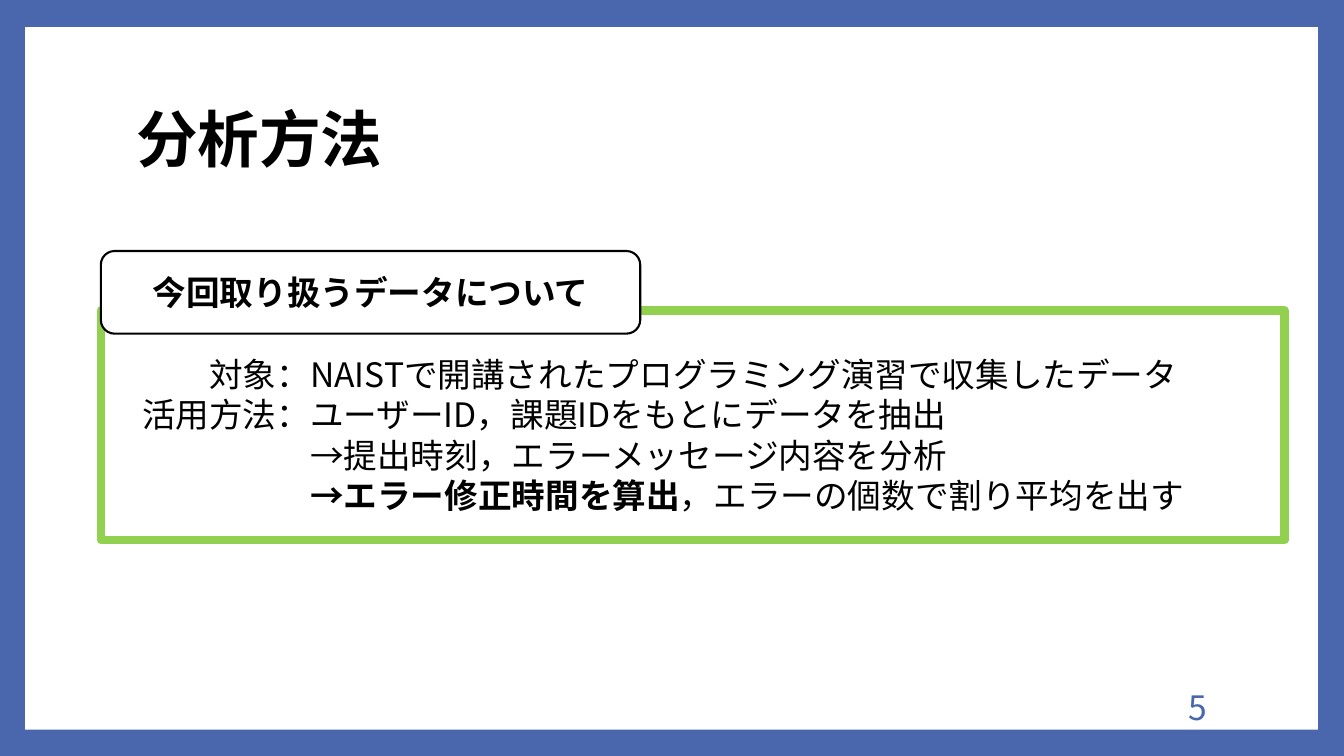
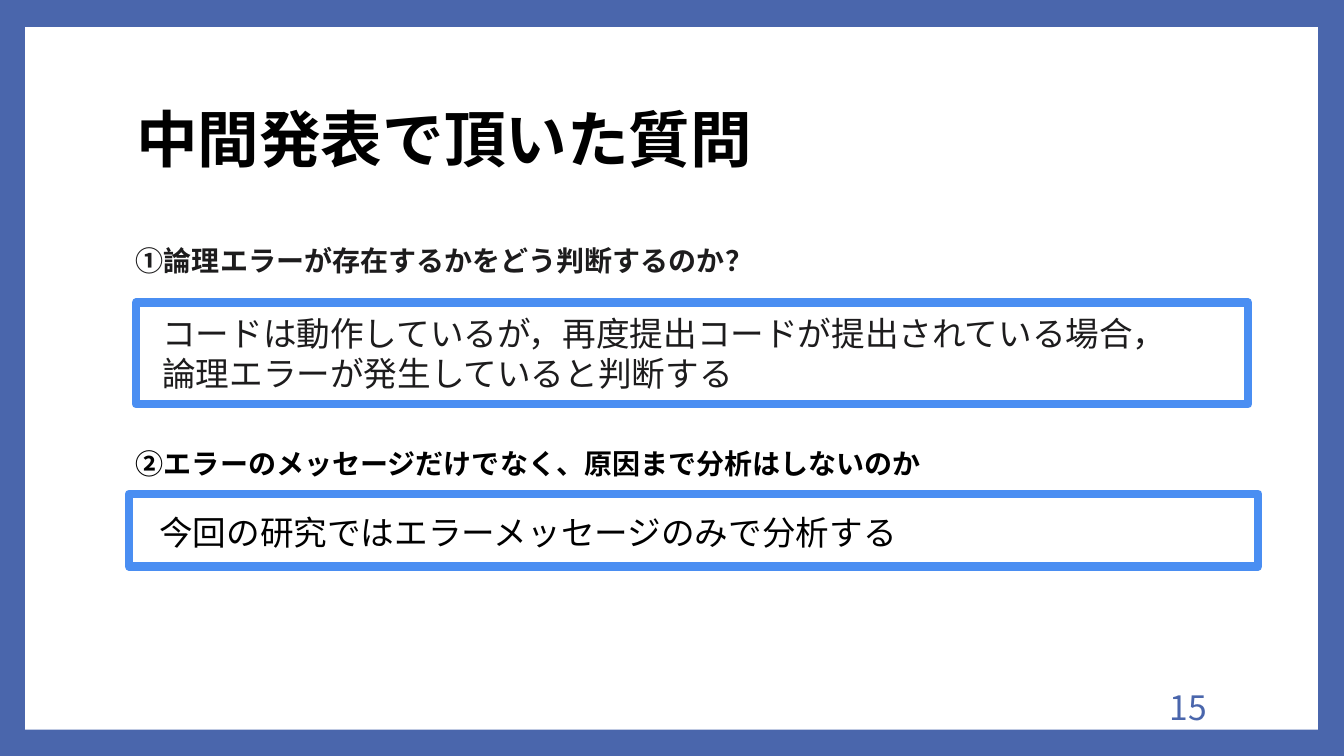
from pptx import Presentation
from pptx.dml.color import RGBColor
from pptx.enum.shapes import MSO_SHAPE as Shape
from pptx.enum.text import MSO_ANCHOR as Anchor, PP_ALIGN as Align
from pptx.util import Emu, Pt

PX = 9144  # 100 px to the inch
FONT = "Noto Sans CJK JP"
COLORS = {
    "border": "4A66AC", "paper": "FFFFFF", "text": "000000",
    "soft_text": "1D1C1D", "green": "92D050", "blue": "4A8EF2",
}
PANEL = (25, 27, 1282, 697)
TITLE = (125, 67, 1080, 148)
PAGE_NUMBER = (1020, 681, 187, 40)

# Each line: indent in characters, then its (text, bold) parts
DATA_TAG = "今回取り扱うデータについて"
DATA_LINES = [
    (2, [("対象：NAISTで開講されたプログラミング演習で収集したデータ", False)]),
    (0, [("活用方法：ユーザーID，課題IDをもとにデータを抽出", False)]),
    (5, [("→提出時刻，エラーメッセージ内容を分析", False)]),
    (5, [("→エラー修正時間を算出", True),
         ("，エラーの個数で割り平均を出す", False)]),
]
QUESTIONS = [
    {"question": "①論理エラーが存在するかをどう判断するのか？",
     "answer": "コードは動作しているが，再度提出コードが提出されている場合，"
               "論理エラーが発生していると判断する",
     "color": "soft_text", "question_at": (125, 237, 1123, 49),
     "answer_at": (135, 300, 1103, 101), "insets": (26, 10, 50, 0)},
    {"question": "②エラーのメッセージだけでなく、原因まで分析はしないのか",
     "answer": "今回の研究ではエラーメッセージのみで分析する",
     "color": "text", "question_at": (125, 438, 1153, 44),
     "answer_at": (128, 490, 1120, 72), "insets": (30, 18, 30, 0)},
]


def px(lengths):
    return [Emu(length * PX) for length in lengths]


def rgb(name):
    return RGBColor.from_string(COLORS[name])


def write(shape, lines, size=24, color="text", bold=False, align=Align.LEFT,
          anchor=Anchor.TOP, insets=(10, 5, 10, 5), spacing=None):
    """Fill a shape with one string, or with indented lines of parts."""
    if isinstance(lines, str):
        lines = [(0, [(lines, bold)])]
    frame = shape.text_frame
    frame.word_wrap = True
    frame.vertical_anchor = anchor
    (frame.margin_left, frame.margin_top,
     frame.margin_right, frame.margin_bottom) = px(insets)
    for number, (indent, parts) in enumerate(lines):
        line = frame.add_paragraph() if number else frame.paragraphs[0]
        line.alignment = align
        line.line_spacing = spacing
        if indent:
            line._p.get_or_add_pPr().set("marL", str(Pt(indent * size)))
        for text, is_bold in parts:
            run = line.add_run()
            run.text = text
            run.font.size = Pt(size)
            run.font.bold = is_bold
            run.font.name = FONT
            run.font.color.rgb = rgb(color)
            east_asian = run._r.rPr.makeelement(
                "{http://schemas.openxmlformats.org/drawingml/2006/main}ea",
                {"typeface": FONT})
            run._r.rPr.find(
                "{http://schemas.openxmlformats.org/drawingml/2006/main}latin"
            ).addnext(east_asian)


def add_box(slide, at, line=None, width=6, kind=Shape.RECTANGLE):
    box = slide.shapes.add_shape(kind, *px(at))
    box.shadow.inherit = False
    box.fill.solid()
    box.fill.fore_color.rgb = rgb("paper")
    if line:
        box.line.color.rgb = rgb(line)
        box.line.width = Pt(width)
    else:
        box.line.fill.background()
    return box


def add_text(slide, at, text, **style):
    write(slide.shapes.add_textbox(*px(at)), text, **style)


def style_master(prs, slide):
    """Give the master its border colour and its white panel."""
    master = prs.slide_master
    master.background.fill.solid()
    master.background.fill.fore_color.rgb = rgb("border")
    panel = add_box(slide, PANEL)
    master.shapes._spTree.insert(2, panel._element)


def add_slide(prs, title, page):
    slide = prs.slides.add_slide(prs.slide_layouts.get_by_name("Title Only"))
    heading = slide.shapes.title
    heading.left, heading.top, heading.width, heading.height = px(TITLE)
    write(heading, title, size=44, bold=True, anchor=Anchor.MIDDLE, spacing=0.9)
    add_text(slide, PAGE_NUMBER, page, color="border", align=Align.RIGHT,
             anchor=Anchor.MIDDLE)
    return slide


def main():
    prs = Presentation()
    prs.slide_width, prs.slide_height = px((1333, 750))

    method = add_slide(prs, "分析方法", "5")
    style_master(prs, method)
    write(add_box(method, (100, 308, 1174, 228), "green"), DATA_LINES,
          insets=(41, 43, 10, 5))
    tag = add_box(method, (100, 249, 535, 82), "text", 1.5,
                  Shape.ROUNDED_RECTANGLE)
    write(tag, DATA_TAG, bold=True, align=Align.CENTER, anchor=Anchor.MIDDLE)

    feedback = add_slide(prs, "中間発表で頂いた質問", "15")
    for item in QUESTIONS:
        add_text(feedback, item["question_at"], item["question"], size=20,
                 color=item["color"], bold=True)
        write(add_box(feedback, item["answer_at"], "blue"), item["answer"],
              color=item["color"], insets=item["insets"])

    prs.save("out.pptx")


if __name__ == "__main__":
    main()
